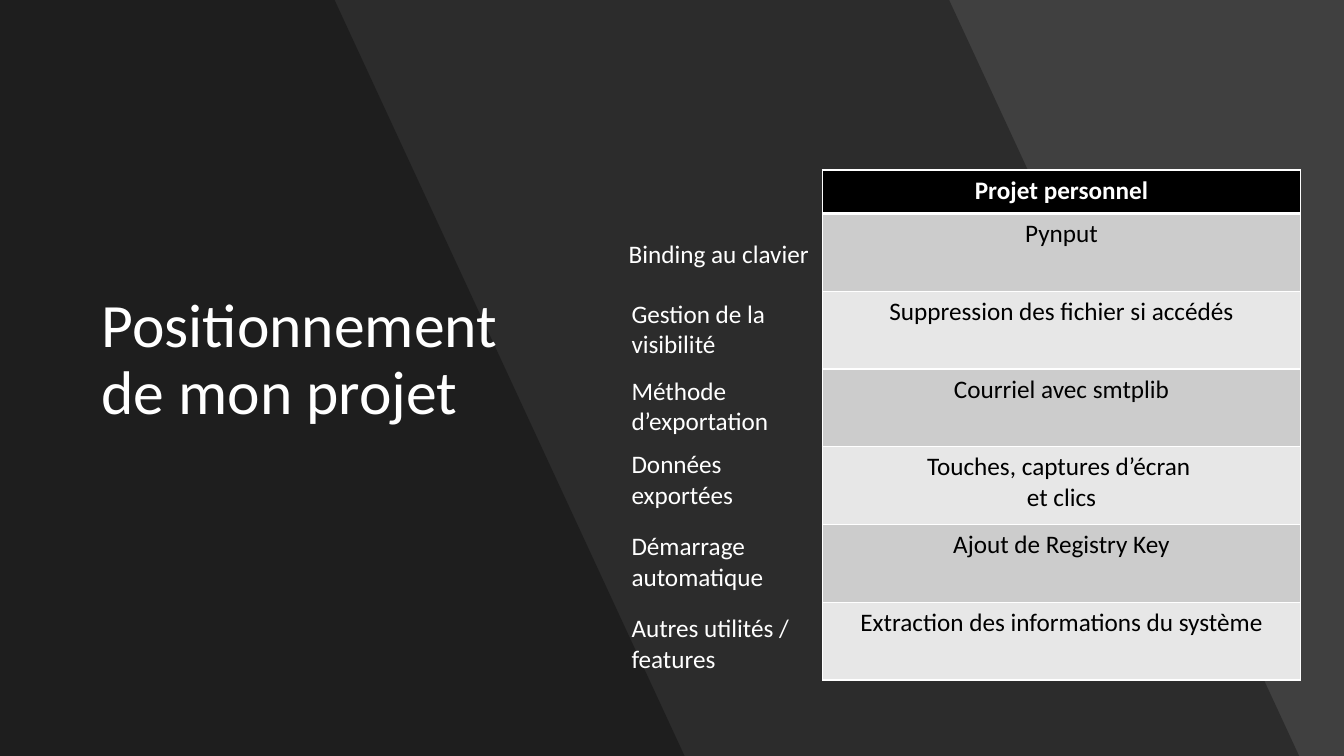
import pptx
import pptx.util
import pptx.dml.color
import pptx.enum.text
import pptx.oxml
import pptx.oxml.ns
from lxml import etree

Pt = pptx.util.Pt
ALIGN = pptx.enum.text.PP_ALIGN
ANCHOR = pptx.enum.text.MSO_ANCHOR

WIDE, HIGH = 960, 540
TITLE = "Positionnement de mon projet"
LABELS = [
    ("Binding au clavier", 442, 167),
    ("Gestion de la visibilité", 444, 209.5),
    ("Méthode d’exportation", 444, 264.5),
    ("Données exportées", 444, 317),
    ("Démarrage automatique", 444, 375.5),
    ("Autres utilités /\nfeatures", 444, 434),
]
ROWS = [
    "Projet personnel",
    "Pynput",
    "Suppression des fichier si accédés",
    "Courriel avec smtplib",
    "Touches, captures d’écran \net clics",
    "Ajout de Registry Key",
    "Extraction des informations du système",
]
BANDS = [(678.24, 928.08), (239.04, 488.88)]


def color(code):
    return pptx.dml.color.RGBColor.from_string(code)


def write(frame, text, size=18, ink="FFFFFF", bold=False, align=ALIGN.LEFT, space=None):
    frame.word_wrap = True
    for i, line in enumerate(text.split("\n")):
        para = frame.add_paragraph() if i else frame.paragraphs[0]
        para.alignment = align
        para.line_spacing = space
        run = para.add_run()
        run.text = line
        run.font.name = "Calibri"
        run.font.size = Pt(size)
        run.font.bold = bold
        run.font.color.rgb = color(ink)


def add_band(slide, top, base):
    pen = slide.shapes.build_freeform(0, 0, scale=Pt(1))
    pen.add_line_segments([(top, 0), (base, HIGH), (0, HIGH)], close=True)
    band = pen.convert_to_shape()
    band.shadow.inherit = False
    band.line.fill.background()
    band.fill.solid()
    band.fill.fore_color.rgb = color("000000")
    tint = band.fill._xPr.find(".//" + pptx.oxml.ns.qn("a:srgbClr"))
    etree.SubElement(tint, pptx.oxml.ns.qn("a:alpha"), val="30000")


def add_edges(cell, widths):
    props = cell._tc.get_or_add_tcPr()
    for side, width in widths.items():
        props.append(pptx.oxml.parse_xml(
            f'<a:ln{side} {pptx.oxml.ns.nsdecls("a")} w="{Pt(width)}">'
            '<a:solidFill><a:srgbClr val="FFFFFF"/></a:solidFill>'
            f'</a:ln{side}>'))


def add_grid(slide):
    head, row = 31, 55.55
    grid = slide.shapes.add_table(
        len(ROWS), 1, Pt(587.5), Pt(121.5), Pt(341.5),
        Pt(head + row * (len(ROWS) - 1))).table
    for i, text in enumerate(ROWS):
        grid.rows[i].height = Pt(row if i else head)
        cell = grid.cell(i, 0)
        add_edges(cell, {"L": 1, "R": 1, "T": 3 if i == 1 else 1, "B": 1 if i else 3})
        cell.fill.solid()
        fill = ("E7E7E7", "CCCCCC")[i % 2] if i else "000000"
        cell.fill.fore_color.rgb = color(fill)
        write(cell.text_frame, text, ink="000000" if i else "FFFFFF",
              bold=i == 0, align=ALIGN.CENTER)


def main():
    deck = pptx.Presentation()
    deck.slide_width, deck.slide_height = Pt(WIDE), Pt(HIGH)
    slide = deck.slides.add_slide(deck.slide_layouts[6])
    slide.background.fill.solid()
    slide.background.fill.fore_color.rgb = color("404040")
    for top, base in BANDS:
        add_band(slide, top, base)
    title = slide.shapes.add_textbox(Pt(65.5), Pt(29), Pt(313), Pt(458)).text_frame
    title.vertical_anchor = ANCHOR.MIDDLE
    write(title, TITLE, size=44, space=0.9)
    for text, left, top in LABELS:
        box = slide.shapes.add_textbox(Pt(left), Pt(top), Pt(150.5), Pt(51))
        write(box.text_frame, text)
    add_grid(slide)
    deck.save("out.pptx")


if __name__ == "__main__":
    main()
